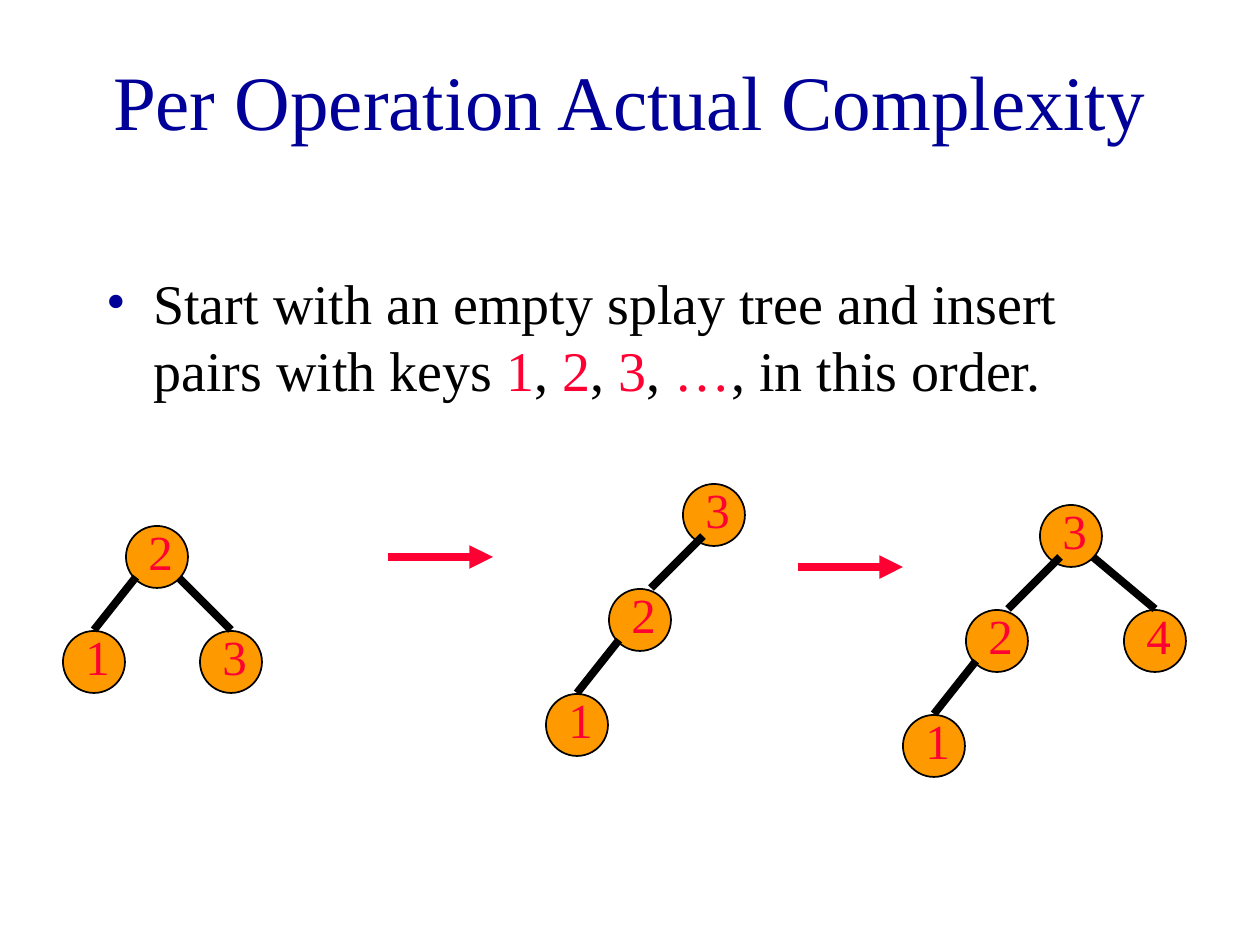
from lxml import etree
from pptx import Presentation
from pptx.dml.color import RGBColor
from pptx.enum.shapes import MSO_CONNECTOR, MSO_SHAPE
from pptx.enum.text import MSO_ANCHOR, PP_ALIGN
from pptx.oxml.ns import qn
from pptx.util import Emu, Pt

LINE = MSO_CONNECTOR.STRAIGHT
OVAL = MSO_SHAPE.OVAL
CENTER, LEFT = PP_ALIGN.CENTER, PP_ALIGN.LEFT
MIDDLE, TOP = MSO_ANCHOR.MIDDLE, MSO_ANCHOR.TOP

PX = 914400 / 126
FONT = "Times New Roman"
COLORS = {"navy": "000099", "black": "000000", "red": "FF0033", "orange": "FF9900"}
NODE = 62
EDGES = {
    "left": ((10, 51), (31, -1)),
    "steep": ((20, 52), (42, -1)),
    "right": ((53, 52), (31, -1)),
}
TREES = [
    ({"2": (126, 526), "1": (63, 631), "3": (200, 631)},
     [("2", "1", "left"), ("2", "3", "right")]),
    ({"2": (609, 589), "1": (546, 694), "3": (683, 484)},
     [("2", "1", "left"), ("3", "2", "steep")]),
    ({"2": (966, 610), "1": (903, 715), "3": (1040, 505), "4": (1124, 610)},
     [("2", "1", "left"), ("3", "2", "steep"), ("3", "4", "right")]),
]
ARROWS = [(388, 557), (798, 567)]
ARROW_LENGTH = 105


def px(*values):
    return [Emu(round(v * PX)) for v in values]


def color(name):
    return RGBColor.from_string(COLORS[name])


def set_all(target, values):
    for name, value in values.items():
        setattr(target, name, value)


def add_text(shapes, box, runs, size, align=LEFT, anchor=TOP, wrap=True):
    tf = shapes.add_textbox(*px(*box)).text_frame
    set_all(tf, {"word_wrap": wrap, "vertical_anchor": anchor})
    p = tf.paragraphs[0]
    p.alignment = align
    for text, name in runs:
        r = p.add_run()
        r.text = text
        set_all(r.font, {"name": FONT, "size": Pt(size)})
        r.font.color.rgb = color(name)
    return p


def add_bullet(p, indent, name):
    pPr = p._p.get_or_add_pPr()
    width = px(indent)[0]
    pPr.set("marL", str(width))
    pPr.set("indent", str(-width))
    clr = etree.SubElement(pPr, qn("a:buClr"))
    etree.SubElement(clr, qn("a:srgbClr"), val=COLORS[name])
    etree.SubElement(pPr, qn("a:buFont"), typeface=FONT)
    etree.SubElement(pPr, qn("a:buChar"), char="•")


def add_line(shapes, start, end, name, arrow=False):
    line = shapes.add_connector(LINE, *px(*start, *end))
    line.line.width = Pt(4.5)
    line.line.color.rgb = color(name)
    if arrow:
        etree.SubElement(line.line._get_or_add_ln(), qn("a:tailEnd"), type="triangle")
    etree.SubElement(line._element.spPr, qn("a:effectLst"))


def add_node(shapes, x, y):
    sp = shapes.add_shape(OVAL, *px(x, y, NODE, NODE))
    sp.shadow.inherit = False
    sp.fill.solid()
    sp.fill.fore_color.rgb = color("orange")
    sp.line.width = Pt(1)
    sp.line.color.rgb = color("black")


def add_tree(s, nodes, edges):
    shapes = s.shapes.add_group_shape().shapes
    for x, y in nodes.values():
        add_node(shapes, x, y)
    for parent, child, kind in edges:
        start, end = (
            (nodes[key][0] + dx, nodes[key][1] + dy)
            for key, (dx, dy) in zip((parent, child), EDGES[kind])
        )
        add_line(shapes, start, end, "black")
    for key, (x, y) in nodes.items():
        add_text(shapes, (x + 10, y - 11, 94, 72), [(key, "red")], 28)


def main():
    prs = Presentation()
    prs.slide_width, prs.slide_height = px(1260, 945)
    s = prs.slides.add_slide(prs.slide_layouts[6])
    add_text(s.shapes, (94, 21, 1072, 158),
             [("Per Operation Actual Complexity", "navy")], 44, CENTER, MIDDLE)
    runs = [("Start with an empty splay tree and insert pairs with keys ", "black")]
    for key in ("1", "2", "3"):
        runs += [(key, "red"), (", ", "black")]
    runs += [("…", "red"), (", in this order.", "black")]
    add_bullet(add_text(s.shapes, (94, 262, 1072, 210), runs, 32), 47, "navy")
    for x, y in ARROWS:
        add_line(s.shapes, (x, y), (x + ARROW_LENGTH, y), "red", arrow=True)
    for nodes, edges in TREES:
        add_tree(s, nodes, edges)
    prs.save("out.pptx")


main()
